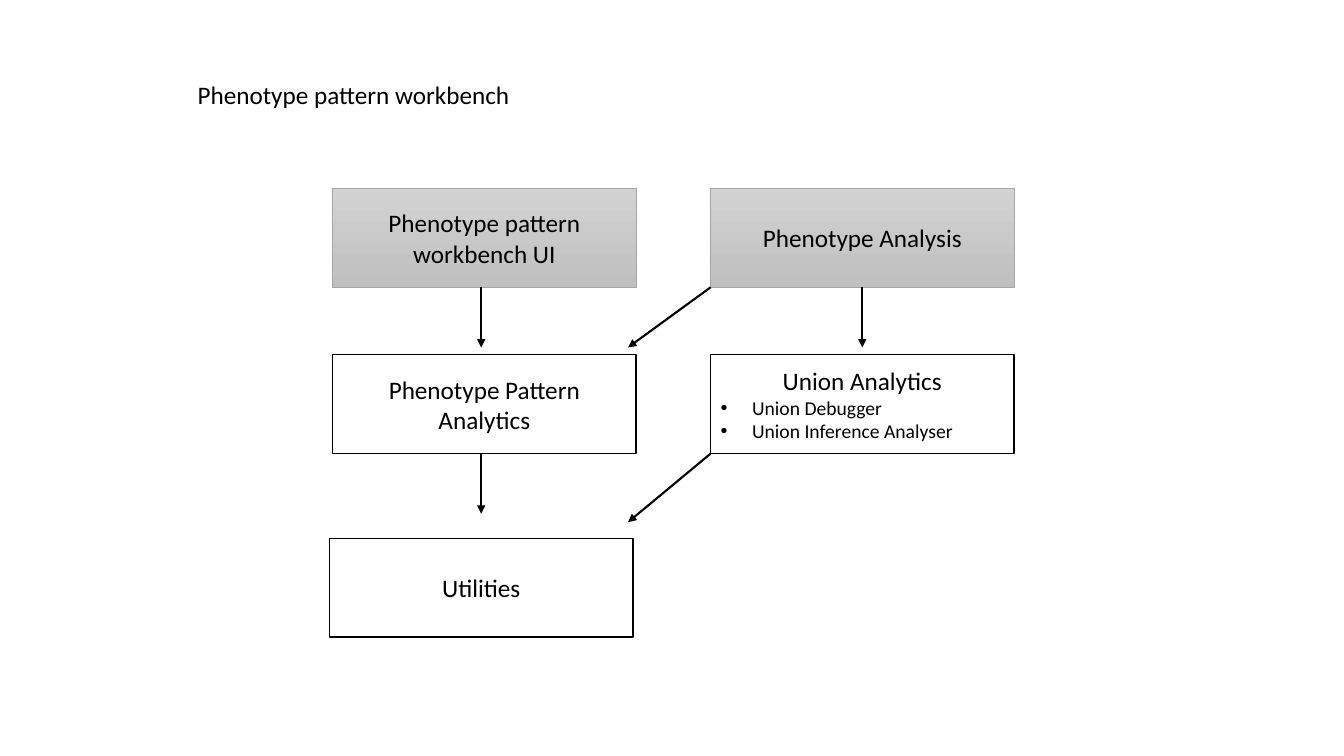
from dataclasses import dataclass

from lxml.etree import SubElement
from pptx import Presentation
from pptx.dml.color import RGBColor
from pptx.enum.shapes import MSO_CONNECTOR, MSO_SHAPE
from pptx.enum.text import MSO_ANCHOR, MSO_AUTO_SIZE, PP_ALIGN
from pptx.oxml.ns import qn
from pptx.util import Pt


@dataclass(frozen=True)
class Theme:
    font: str = "Calibri"
    ink: RGBColor = RGBColor(0x00, 0x00, 0x00)
    paper: RGBColor = RGBColor(0xFF, 0xFF, 0xFF)
    grey_top: RGBColor = RGBColor(0xD2, 0xD2, 0xD2)
    grey_bottom: RGBColor = RGBColor(0xC0, 0xC0, 0xC0)
    grey_line: RGBColor = RGBColor(0xA5, 0xA5, 0xA5)
    label_size: int = 18
    item_size: int = 14


THEME = Theme()
BOX_W, BOX_H = 216.7, 70.6
LEFT, RIGHT = 237.6, 507.6
UI_ROW, ANALYTICS_ROW, UTILITIES_ROW = 134.6, 253.4, 384.5
UTILITIES_LEFT = 235.4


def add_run(p, text, size):
    r = p.add_run()
    r.text = text
    r.font.name = THEME.font
    r.font.size = Pt(size)
    r.font.color.rgb = THEME.ink


def set_title(s, text, x, y, w, h):
    sp = s.shapes.title
    sp.left, sp.top, sp.width, sp.height = Pt(x), Pt(y), Pt(w), Pt(h)
    tf = sp.text_frame
    tf.word_wrap = False
    tf.auto_size = MSO_AUTO_SIZE.SHAPE_TO_FIT_TEXT
    tf.vertical_anchor = MSO_ANCHOR.TOP
    p = tf.paragraphs[0]
    p.alignment = PP_ALIGN.LEFT
    add_run(p, text, THEME.label_size)


def add_bullet(p, text):
    p.alignment = PP_ALIGN.LEFT
    pPr = p._p.get_or_add_pPr()
    indent = Pt(22.5)
    pPr.set("marL", str(indent))
    pPr.set("indent", str(-indent))
    SubElement(pPr, qn("a:buFont"), typeface="Arial")
    SubElement(pPr, qn("a:buChar"), char="•")
    add_run(p, text, THEME.item_size)


def add_box(s, x, y, label, items=(), shaded=False):
    sp = s.shapes.add_shape(MSO_SHAPE.RECTANGLE, Pt(x), Pt(y), Pt(BOX_W), Pt(BOX_H))
    sp.shadow.inherit = False
    if shaded:
        sp.fill.gradient()
        sp.fill.gradient_angle = 270
        for stop, color in zip(sp.fill.gradient_stops, (THEME.grey_top, THEME.grey_bottom)):
            stop.color.rgb = color
    else:
        sp.fill.solid()
        sp.fill.fore_color.rgb = THEME.paper
    sp.line.color.rgb = THEME.grey_line if shaded else THEME.ink
    sp.line.width = Pt(0.5 if shaded else 1)
    tf = sp.text_frame
    tf.word_wrap = True
    tf.vertical_anchor = MSO_ANCHOR.MIDDLE
    p = tf.paragraphs[0]
    p.alignment = PP_ALIGN.CENTER
    add_run(p, label, THEME.label_size)
    for item in items:
        add_bullet(tf.add_paragraph(), item)


def add_arrow(s, x, y, dx, dy):
    line = s.shapes.add_connector(MSO_CONNECTOR.STRAIGHT, Pt(x), Pt(y), Pt(x + dx), Pt(y + dy))
    line.line.color.rgb = THEME.ink
    line.line.width = Pt(1.5)
    SubElement(line.line._get_or_add_ln(), qn("a:tailEnd"), type="triangle")
    SubElement(line._element.spPr, qn("a:effectLst"))


def main():
    prs = Presentation()
    prs.slide_width, prs.slide_height = Pt(960), Pt(540)
    s = prs.slides.add_slide(prs.slide_layouts[5])
    set_title(s, "Phenotype pattern workbench", 133.9, 53.3, 240.5, 28.8)

    add_box(s, LEFT, UI_ROW, "Phenotype pattern workbench UI", shaded=True)
    add_box(s, RIGHT, UI_ROW, "Phenotype Analysis", shaded=True)
    add_box(s, LEFT, ANALYTICS_ROW, "Phenotype Pattern Analytics")
    add_box(s, RIGHT, ANALYTICS_ROW, "Union Analytics",
            items=("Union Debugger", "Union Inference Analyser"))
    add_box(s, UTILITIES_LEFT, UTILITIES_ROW, "Utilities")

    ui_bottom = UI_ROW + BOX_H
    analytics_bottom = ANALYTICS_ROW + BOX_H
    left_center = UTILITIES_LEFT + BOX_W / 2
    right_center = RIGHT + BOX_W / 2
    for x, y, dx, dy in (
        (right_center, ui_bottom, 0, 43),
        (RIGHT, ui_bottom, -59, 43),
        (left_center, ui_bottom, 0, 43),
        (left_center, analytics_bottom, 0, 43),
        (RIGHT, analytics_bottom, -59, 49),
    ):
        add_arrow(s, x, y, dx, dy)

    prs.save("out.pptx")


if __name__ == "__main__":
    main()
